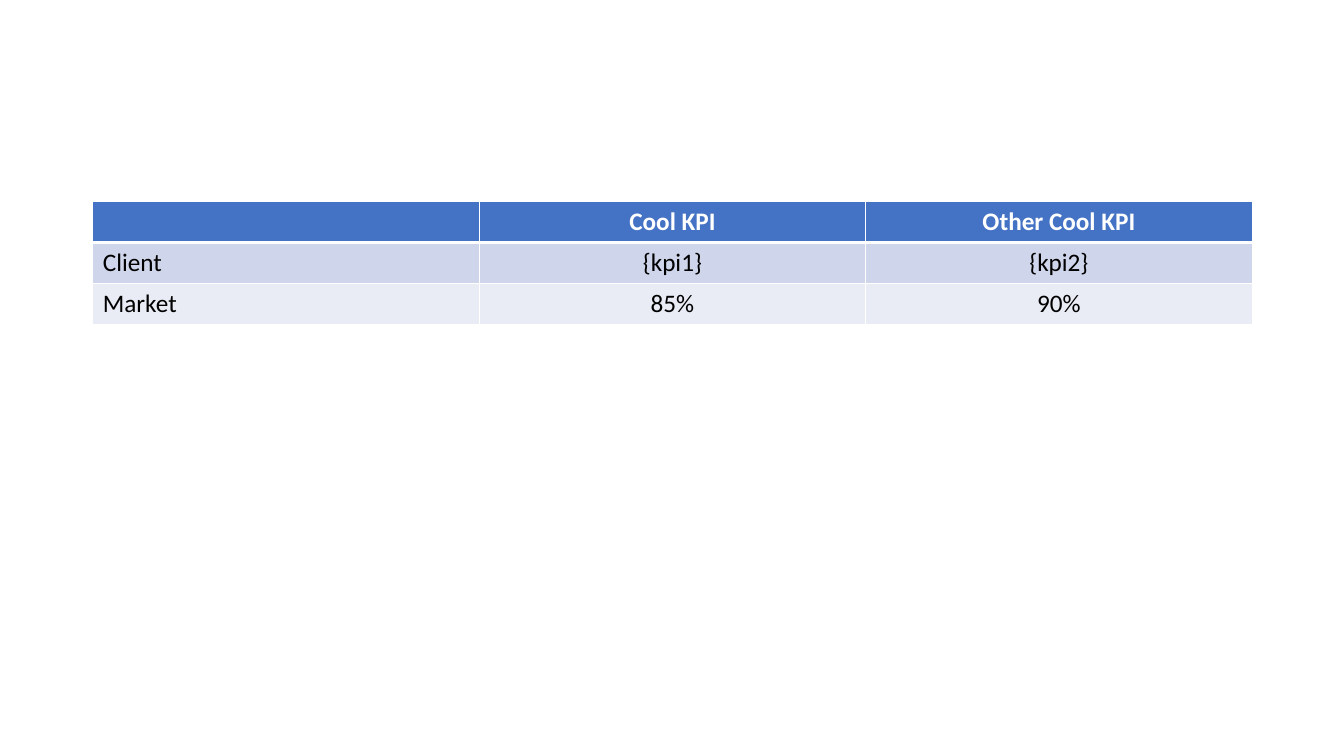
from lxml.etree import SubElement
from pptx import Presentation
from pptx.dml.color import RGBColor
from pptx.enum.text import PP_ALIGN as Align
from pptx.oxml.ns import qn
from pptx.util import Inches, Pt

HEADER_FILL = "4472C4"
BAND_FILLS = ["CFD5EA", "E9EBF5"]
WHITE, BLACK = "FFFFFF", "000000"
KPI_ROWS = [
    ["", "Cool KPI", "Other Cool KPI"],
    ["Client", "{kpi1}", "{kpi2}"],
    ["Market", "85%", "90%"],
]


def color(value):
    return RGBColor.from_string(value)


def add_borders(cell, top, bottom):
    """Draw white cell borders; widths are in points."""
    properties = cell._tc.get_or_add_tcPr()
    for side, width in (("L", 1), ("R", 1), ("T", top), ("B", bottom)):
        line = SubElement(properties, qn(f"a:ln{side}"), w=str(Pt(width)))
        fill = SubElement(line, qn("a:solidFill"))
        SubElement(fill, qn("a:srgbClr"), val=WHITE)


def fill_cell(cell, text, row, column):
    header = row == 0
    # Borders come before the fill in the cell properties
    add_borders(cell, top=3 if row == 1 else 1, bottom=3 if header else 1)
    cell.fill.solid()
    cell.fill.fore_color.rgb = color(HEADER_FILL if header else BAND_FILLS[(row - 1) % 2])
    if not text:
        return
    para = cell.text_frame.paragraphs[0]
    para.alignment = Align.CENTER if column else Align.LEFT
    span = para.add_run()
    span.text = text
    span.font.name = "Calibri"
    span.font.size = Pt(18)
    span.font.bold = header
    span.font.color.rgb = color(WHITE if header else BLACK)


def add_kpi_table(page, left, top, width, height):
    frame = page.shapes.add_table(
        len(KPI_ROWS), len(KPI_ROWS[0]),
        Inches(left), Inches(top), Inches(width), Inches(height))
    for row, texts in enumerate(KPI_ROWS):
        for column, text in enumerate(texts):
            fill_cell(frame.table.cell(row, column), text, row, column)


def main():
    deck = Presentation()
    deck.slide_width, deck.slide_height = Inches(13.33), Inches(7.5)
    page = deck.slides.add_slide(deck.slide_layouts[6])
    # KPI comparison table
    add_kpi_table(page, 0.92, 2, 11.5, 1.22)
    deck.save("out.pptx")


if __name__ == "__main__":
    main()
